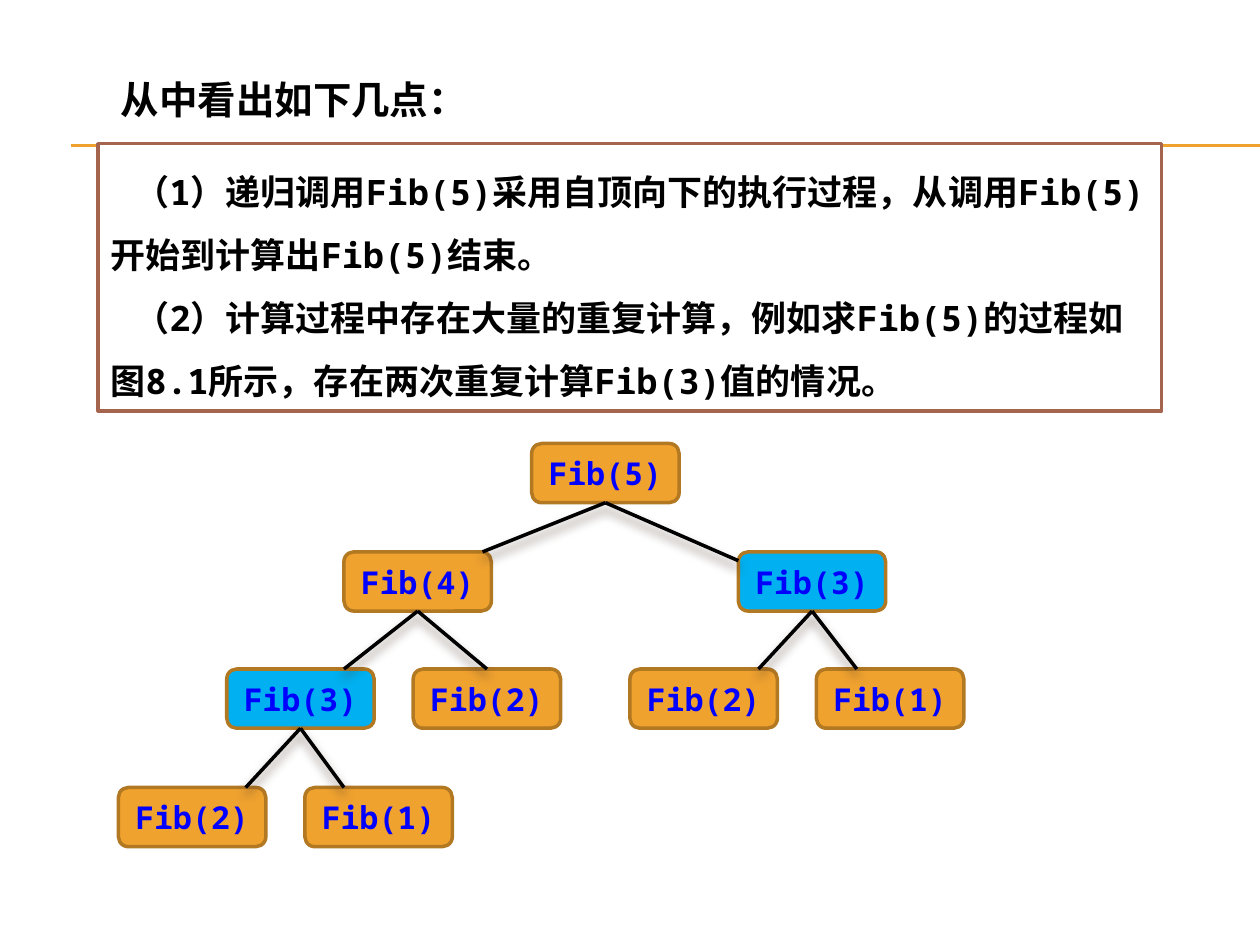
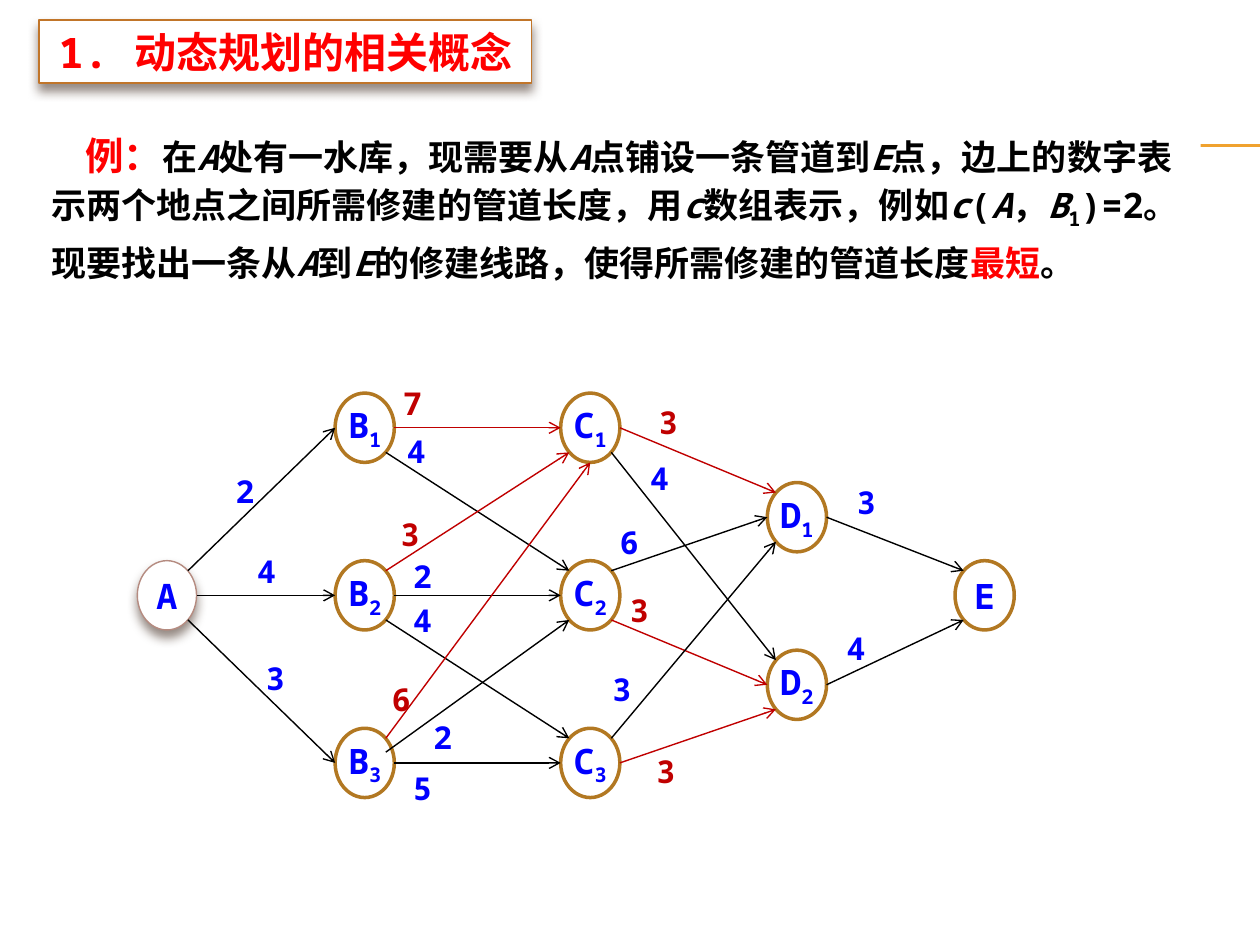
from lxml.etree import SubElement
from pptx import Presentation
from pptx.dml.color import RGBColor
from pptx.enum.shapes import MSO_CONNECTOR, MSO_SHAPE
from pptx.enum.text import MSO_ANCHOR, MSO_AUTO_SIZE, PP_ALIGN
from pptx.oxml.ns import qn
from pptx.util import Inches, Pt

HUES = {
    "black": "000000", "white": "FFFFFF", "blue": "0000FF", "red": "FF0000",
    "wine": "C00000", "gold": "F0A22E", "brown": "B27822", "sky": "00B0F0",
    "rust": "A5644E", "rose": "B58B80", "copper": "C17529", "shade": "4E3B30",
}
MONO, HAN = "Noto Sans Mono", "Noto Sans CJK SC"
THIN, THICK = 0.79, 2

BOX_W, BOX_H = 1.17, 0.47
LEVELS = (3.52, 4.38, 5.31, 6.25)
# key: number, left, level, fill
CALLS = {
    "root": (5, 4.22, 0, "gold"),
    "l": (4, 2.73, 1, "gold"),
    "r": (3, 5.86, 1, "sky"),
    "ll": (3, 1.8, 2, "sky"),
    "lr": (2, 3.28, 2, "gold"),
    "rl": (2, 5, 2, "gold"),
    "rr": (1, 6.48, 2, "gold"),
    "lll": (2, 0.94, 3, "gold"),
    "llr": (1, 2.42, 3, "gold"),
}
# parent, child, where the line meets the child (None: middle of its top)
BRANCHES = (
    ("root", "l", (1.1, 0)), ("root", "r", (0, 0.07)),
    ("l", "ll", (0.93, 0)), ("l", "lr", None),
    ("r", "rl", (1.02, 0)), ("r", "rr", (0.32, 0)),
    ("ll", "lll", (1.01, 0)), ("ll", "llr", (0.31, 0)),
)

RING_W, RING_H = 0.47, 0.55
SITES = {
    "A": (1.09, 4.45), "B1": (2.66, 3.12), "B2": (2.66, 4.45),
    "B3": (2.66, 5.78), "C1": (4.45, 3.12), "C2": (4.45, 4.45),
    "C3": (4.45, 5.78), "D1": (6.09, 3.83), "D2": (6.09, 5.16),
    "E": (7.58, 4.45),
}
PORTS = {
    "e": (1, 0), "w": (-1, 0), "s": (0, 1), "ne": (0.71, -0.71),
    "se": (0.71, 0.71), "nw": (-0.71, -0.71), "sw": (-0.71, 0.71),
    "ene": (0.71, -0.31),
}
# from, port, to, port, length, label place, hue of the arrow
PIPES = (
    ("A", "ne", "B1", "w", 2, (1.87, 3.75), "black"),
    ("A", "e", "B2", "w", 4, (2.04, 4.38), "black"),
    ("A", "se", "B3", "w", 3, (2.11, 5.23), "black"),
    ("B1", "e", "C1", "w", 7, (3.2, 3.05), "wine"),
    ("B1", "se", "C2", "nw", 4, (3.23, 3.43), "black"),
    ("B2", "ne", "C1", "sw", 3, (3.18, 4.09), "wine"),
    ("B2", "e", "C2", "w", 2, (3.28, 4.42), "black"),
    ("B2", "se", "C3", "nw", 4, (3.28, 4.77), "black"),
    ("B3", "ne", "C1", "s", 6, (3.11, 5.4), "wine"),
    ("B3", "ene", "C2", "sw", 2, (3.44, 5.7), "black"),
    ("B3", "e", "C3", "w", 5, (3.28, 6.1), "black"),
    ("C1", "e", "D1", "nw", 3, (5.23, 3.2), "wine"),
    ("C1", "se", "D2", "nw", 4, (5.16, 3.64), "black"),
    ("C2", "ne", "D1", "w", 6, (4.92, 4.15), "black"),
    ("C2", "se", "D2", "w", 3, (5, 4.69), "wine"),
    ("C3", "ne", "D1", "sw", 3, (4.86, 5.32), "black"),
    ("C3", "e", "D2", "sw", 3, (5.21, 5.97), "wine"),
    ("D1", "e", "E", "nw", 3, (6.8, 3.83), "black"),
    ("D2", "e", "E", "sw", 4, (6.72, 4.99), "black"),
)

POINTS = (
    "（1）递归调用Fib(5)采用自顶向下的执行过程，从调用Fib(5)开始到计算出Fib(5)结束。",
    "（2）计算过程中存在大量的重复计算，例如求Fib(5)的过程如图8.1所示，存在两次重复计算Fib(3)值的情况。",
)
# text, style: h head, i italic, s subscript, r red
TASK = (
    ("例：", "h"), ("在", ""), ("A", "i"), ("处有一水库，现需要从", ""),
    ("A", "i"), ("点铺设一条管道到", ""), ("E", "i"),
    ("点，边上的数字表示两个地点之间所需修建的管道长度，用", ""), ("c", "i"),
    ("数组表示，例如", ""), ("c", "i"), ("(", ""), ("A", "i"), ("，", ""),
    ("B", "i"), ("1", "s"), (")=2。现要找出一条从", ""), ("A", "i"),
    ("到", ""), ("E", "i"), ("的修建线路，使得所需修建的管道长度", ""),
    ("最短", "r"), ("。", ""),
)


def tint(name):
    return RGBColor.from_string(HUES[name])


def place(shape, box):
    shape.left, shape.top, shape.width, shape.height = map(Inches, box)


def cast(shape, shadow):
    """Replace the theme's effect by a soft drop shadow or by none."""
    props = shape._element.spPr
    effects = SubElement(props, qn("a:effectLst"))
    if shadow:
        outer = SubElement(effects, qn("a:outerShdw"), blurRad=str(Pt(6)),
                           dist=str(Pt(4)), dir="5400000", rotWithShape="0")
        hue = SubElement(outer, qn("a:srgbClr"), val=HUES["shade"])
        SubElement(hue, qn("a:alpha"), val="60000")


def paint(shape, fill=None, line=None, width=THICK, shadow=False):
    if fill:
        shape.fill.solid()
        shape.fill.fore_color.rgb = tint(fill)
    else:
        shape.fill.background()
    if line:
        shape.line.color.rgb = tint(line)
        shape.line.width = Pt(width)
    else:
        shape.line.fill.background()
    cast(shape, shadow)


def style(para, size, hue, face=MONO, align=PP_ALIGN.LEFT):
    para.alignment = align
    font = para.font
    font.name, font.size, font.bold = face, Pt(size), True
    font.color.rgb = tint(hue)
    SubElement(para._p.pPr.find(qn("a:defRPr")), qn("a:ea"), typeface=HAN)


def indent(para, inches):
    para._p.get_or_add_pPr().set("indent", str(Inches(inches)))


def lower(run):
    run._r.get_or_add_rPr().set("baseline", "-25000")


def frame(shape, anchor=MSO_ANCHOR.TOP, wrap=True, side=0.1, edge=0.05):
    text = shape.text_frame
    text.word_wrap, text.vertical_anchor = wrap, anchor
    text.auto_size = MSO_AUTO_SIZE.NONE
    text.margin_left = text.margin_right = Inches(side)
    text.margin_top = text.margin_bottom = Inches(edge)
    return text


def block(slide, kind, box, **look):
    shape = slide.shapes.add_shape(kind, *map(Inches, box))
    paint(shape, **look)
    return shape


def link(slide, start, end, hue, width, arrow=False, shadow=False):
    line = slide.shapes.add_connector(
        MSO_CONNECTOR.STRAIGHT, *map(Inches, (*start, *end)))
    line.line.color.rgb = tint(hue)
    line.line.width = Pt(width)
    if arrow:
        SubElement(line.line._get_or_add_ln(), qn("a:tailEnd"), type="arrow")
    cast(line, shadow)
    return line


def start(deck, title, box, size, face, align):
    """Add a slide with its title and the double rule; return it."""
    slide = deck.slides.add_slide(deck.slide_layouts[5])
    for y in (1.15, 1.16):
        link(slide, (0.56, y), (10, y), "gold", 0.75)
    head = slide.shapes.title
    place(head, box)
    text = frame(head, wrap=False)
    text.text = title
    hue = "black" if face == HAN else "red"
    style(text.paragraphs[0], size, hue, face, align)
    return slide


def points(slide):
    box = block(slide, MSO_SHAPE.RECTANGLE, (0.78, 1.14, 8.44, 2.12),
                fill="white", line="rust")
    text = frame(box)
    text.text = "\n".join(POINTS)
    for para in text.paragraphs:
        style(para, 20, "black")
        para.line_spacing = Pt(36)
        indent(para, 0.19)


def tree(slide):
    nodes = {}
    for key, (number, left, level, fill) in CALLS.items():
        node = block(slide, MSO_SHAPE.ROUNDED_RECTANGLE,
                     (left, LEVELS[level], BOX_W, BOX_H),
                     fill=fill, line="brown")
        text = frame(node, MSO_ANCHOR.MIDDLE, wrap=False)
        text.text = f"Fib({number})"
        style(text.paragraphs[0], 18, "blue", align=PP_ALIGN.CENTER)
        nodes[key] = node
    for parent, child, meet in BRANCHES:
        _, left, level, _ = CALLS[child]
        dx, dy = meet or (BOX_W / 2, 0)
        _, top_x, top, _ = CALLS[parent]
        line = link(slide, (top_x + BOX_W / 2, LEVELS[top] + BOX_H),
                    (left + dx, LEVELS[level] + dy), "black", THICK,
                    shadow=True)
        line.begin_connect(nodes[parent], 2)
        if meet is None:
            line.end_connect(nodes[child], 0)


def ring(slide, name):
    first = name == "A"
    look = (dict(fill="white", line="rose", width=THIN, shadow=True)
            if first else dict(line="brown"))
    shape = block(slide, MSO_SHAPE.OVAL, (*SITES[name], RING_W, RING_H), **look)
    text = frame(shape, MSO_ANCHOR.MIDDLE, wrap=False, side=0)
    para = text.paragraphs[0]
    para.add_run().text = name[0]
    if name[1:]:
        run = para.add_run()
        run.text = name[1:]
        lower(run)
    style(para, 20, "blue", align=PP_ALIGN.CENTER)


def port(name, side):
    (x, y), (dx, dy) = SITES[name], PORTS[side]
    return x + RING_W / 2 * (1 + dx), y + RING_H / 2 * (1 + dy)


def label(slide, value, spot, hue):
    box = slide.shapes.add_textbox(*map(Inches, (*spot, 0.23, 0.3)))
    text = frame(box, wrap=False, side=0, edge=0)
    text.text = str(value)
    style(text.paragraphs[0], 18, hue)


def graph(slide):
    for name in SITES:
        ring(slide, name)
    for tail, out, tip, into, length, spot, hue in PIPES:
        link(slide, port(tail, out), port(tip, into), hue, THIN, arrow=True)
        label(slide, length, spot, "wine" if hue == "wine" else "blue")


def task(slide):
    box = block(slide, MSO_SHAPE.RECTANGLE, (0.31, 0.95, 9.22, 1.36),
                fill="white")
    para = frame(box).paragraphs[0]
    style(para, 20, "black")
    para.line_spacing = Pt(30)
    indent(para, 0.27)
    for words, mark in TASK:
        run = para.add_run()
        run.text = words
        if mark == "h":
            run.font.size = Pt(22)
        if mark in ("h", "r"):
            run.font.color.rgb = tint("red")
        if mark == "i":
            run.font.italic = True
        if mark == "s":
            lower(run)


def main():
    deck = Presentation()
    deck.slide_width, deck.slide_height = Inches(10), Inches(7.5)

    calls = start(deck, "从中看出如下几点：", (0.86, 0.55, 5.78, 0.47),
                  22, HAN, PP_ALIGN.LEFT)
    points(calls)
    tree(calls)

    pipes = start(deck, "1. 动态规划的相关概念", (0.31, 0.16, 3.91, 0.5),
                  24, MONO, PP_ALIGN.CENTER)
    paint(pipes.shapes.title, fill="white", line="copper", width=THIN,
          shadow=True)
    graph(pipes)
    task(pipes)
    deck.save("out.pptx")


if __name__ == "__main__":
    main()
